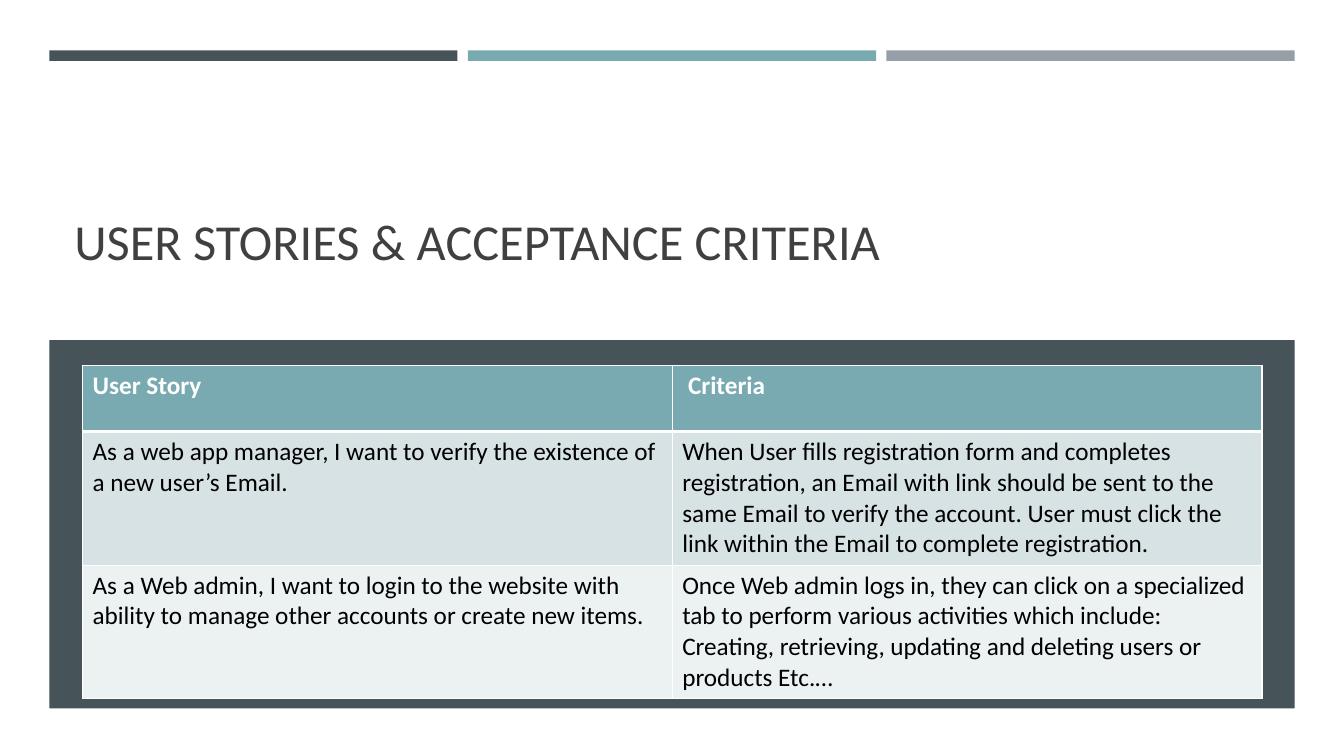
from dataclasses import dataclass

from lxml.etree import SubElement
from pptx import Presentation
from pptx.dml.color import RGBColor as Rgb
from pptx.enum.shapes import MSO_SHAPE as Shape
from pptx.enum.text import MSO_ANCHOR as Anchor
from pptx.oxml.ns import qn
from pptx.util import Pt


@dataclass(frozen=True)
class Theme:
    font: str = "Calibri"
    slate: str = "465359"
    teal: str = "79AAB2"
    grey: str = "969FA7"
    heading: str = "404040"
    body: str = "000000"
    white: str = "FFFFFF"
    bands: tuple = ("D7E2E4", "ECF1F2")
    title_size: int = 36
    table_size: int = 18
    rule: int = 1
    header_rule: int = 3


class SlideBuilder:
    def __init__(self, deck, theme):
        self.theme = theme
        self.slide = deck.slides.add_slide(deck.slide_layouts[6])

    def block(self, left, top, width, height, color):
        block = self.slide.shapes.add_shape(
            Shape.RECTANGLE, Pt(left), Pt(top), Pt(width), Pt(height))
        block.shadow.inherit = False
        block.fill.solid()
        block.fill.fore_color.rgb = Rgb.from_string(color)
        block.line.fill.background()

    def label(self, frame, text, size, color, bold=False):
        run = frame.paragraphs[0].add_run()
        run.text = text
        style = {"name": self.theme.font, "size": Pt(size), "bold": bold}
        for attribute, value in style.items():
            setattr(run.font, attribute, value)
        run.font.color.rgb = Rgb.from_string(color)

    def title(self, left, top, width, height, text):
        frame = self.slide.shapes.add_textbox(
            Pt(left), Pt(top), Pt(width), Pt(height)).text_frame
        layout = {"word_wrap": True, "vertical_anchor": Anchor.BOTTOM}
        for attribute, value in layout.items():
            setattr(frame, attribute, value)
        self.label(frame, text, self.theme.title_size, self.theme.heading)

    def borders(self, cell, top, bottom):
        rule = self.theme.rule
        properties = cell._tc.get_or_add_tcPr()
        for side, width in {"L": rule, "R": rule, "T": top, "B": bottom}.items():
            border = SubElement(properties, qn(f"a:ln{side}"), w=str(Pt(width)))
            paint = SubElement(border, qn("a:solidFill"))
            SubElement(paint, qn("a:srgbClr"), val=self.theme.white)

    def table(self, left, top, width, heights, rows):
        theme = self.theme
        table = self.slide.shapes.add_table(
            len(rows), len(rows[0]), Pt(left), Pt(top),
            Pt(width), Pt(sum(heights))).table
        table.horz_banding = False
        for row, height in zip(table.rows, heights):
            row.height = Pt(height)
        for index, texts in enumerate(rows):
            header = index == 0
            fill = theme.teal if header else theme.bands[(index - 1) % 2]
            color = theme.white if header else theme.body
            above = theme.header_rule if index == 1 else theme.rule
            below = theme.header_rule if header else theme.rule
            for column, text in enumerate(texts):
                cell = table.cell(index, column)
                self.borders(cell, above, below)
                cell.fill.solid()
                cell.fill.fore_color.rgb = Rgb.from_string(fill)
                self.label(cell.text_frame, text, theme.table_size, color, header)


STORIES = [
    ("User Story", " Criteria"),
    ("As a web app manager, I want to verify the existence of a new user’s Email.",
     "When User fills registration form and completes registration, an Email "
     "with link should be sent to the same Email to verify the account. User "
     "must click the link within the Email to complete registration."),
    ("As a Web admin, I want to login to the website with ability to manage "
     "other accounts or create new items.",
     "Once Web admin logs in, they can click on a specialized tab to perform "
     "various activities which include: Creating, retrieving, updating and "
     "deleting users or products Etc.…"),
]


def main():
    deck = Presentation()
    deck.slide_width, deck.slide_height = Pt(960), Pt(540)
    theme = Theme()
    page = SlideBuilder(deck, theme)
    margin, bar_width, bar_step = 35.2, 291.6, 299
    for position, color in enumerate((theme.slate, theme.teal, theme.grey)):
        page.block(margin + position * bar_step, 36, bar_width, 7.5, color)
    page.block(margin, 243, 889.6, 263, theme.slate)
    page.title(46, 80.6, 865.4, 116, "USER STORIES & ACCEPTANCE CRITERIA")
    page.table(59, 260.8, 842.4, (47.5, 95.4, 95.4), STORIES)
    deck.save("out.pptx")


if __name__ == "__main__":
    main()
